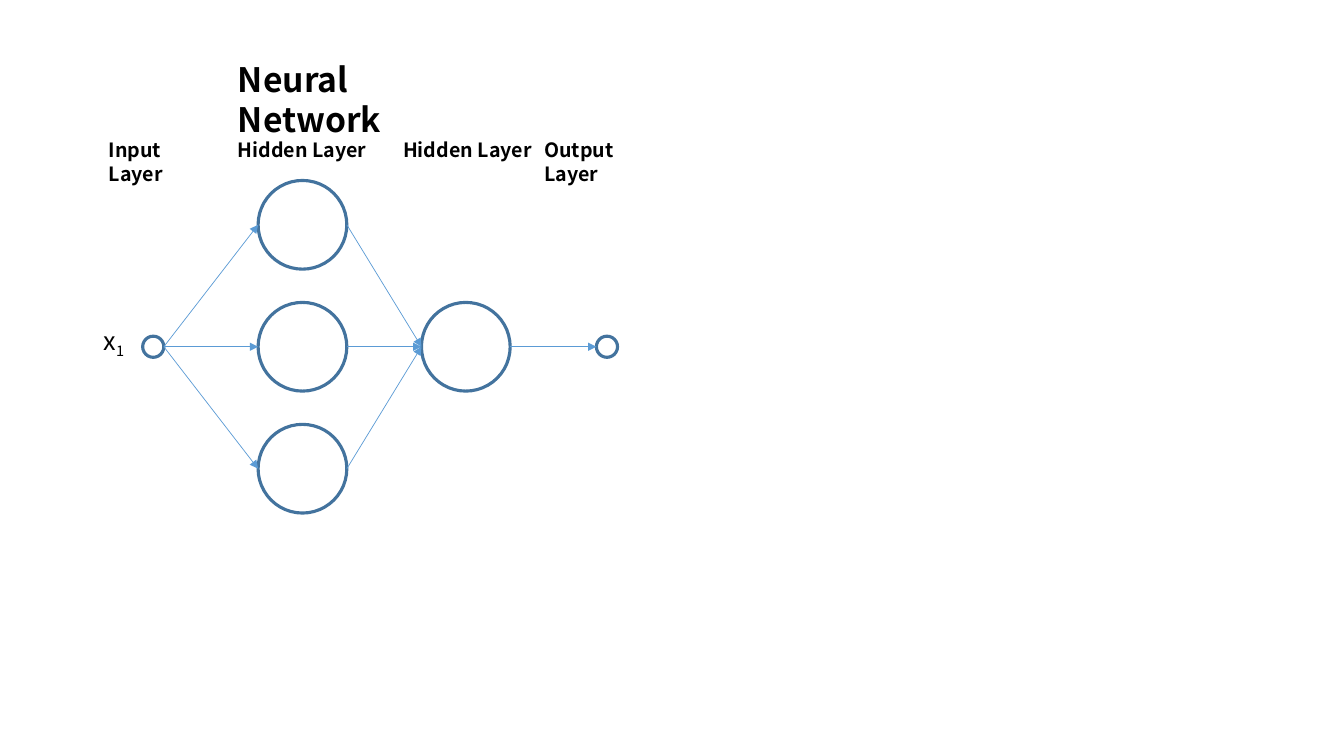
from lxml import etree
from pptx import Presentation
from pptx.dml.color import RGBColor
from pptx.enum.shapes import MSO_CONNECTOR, MSO_SHAPE
from pptx.enum.text import MSO_ANCHOR, MSO_AUTO_SIZE, PP_ALIGN
from pptx.oxml.ns import qn
from pptx.util import Inches, Pt

OVAL = MSO_SHAPE.OVAL
STRAIGHT = MSO_CONNECTOR.STRAIGHT
TOP, LEFT, NO_FIT = MSO_ANCHOR.TOP, PP_ALIGN.LEFT, MSO_AUTO_SIZE.NONE

BLACK = RGBColor(0x00, 0x00, 0x00)
NODE_BLUE = RGBColor(0x43, 0x73, 0x9E)
ARROW_BLUE = RGBColor(0x5B, 0x9B, 0xD5)
FONT = "Noto Sans CJK KR"
CELL = 0.1  # inches per grid cell

TERMINAL, NEURON = 2.1, 8.8  # node diameters
MIDDLE_ROW, ROW_PITCH = 34.4, 12.1
LABEL_ROW = 13.2


def cells(count):
    return Inches(count * CELL)


class NetworkSlide:
    """Draws on one title-only slide; all lengths are grid cells."""

    def __init__(self, deck):
        self.slide = deck.slides.add_slide(deck.slide_layouts[5])
        self.shapes = self.slide.shapes

    def style_text(self, frame, size, bold):
        frame.word_wrap = True
        frame.auto_size = NO_FIT
        frame.vertical_anchor = TOP
        paragraph = frame.paragraphs[0]
        paragraph.alignment = LEFT
        font = paragraph.font
        font.name, font.size, font.bold = FONT, Pt(size), bold
        font.color.rgb = BLACK

    def title(self, text, col, row, width, height):
        heading = self.shapes.title
        heading.left, heading.top = cells(col), cells(row)
        heading.width, heading.height = cells(width), cells(height)
        heading.text_frame.text = text
        self.style_text(heading.text_frame, 24, True)

    def label(self, text, col, row, width, height, size=14, bold=True, subscript=""):
        box = self.shapes.add_textbox(*map(cells, (col, row, width, height)))
        frame = box.text_frame
        frame.text = text
        if subscript:
            index = frame.paragraphs[0].add_run()
            index.text = subscript
            index.font._element.set("baseline", "-25000")
        self.style_text(frame, size, bold)

    def node(self, center, row, diameter):
        circle = self.shapes.add_shape(
            OVAL, cells(center - diameter / 2), cells(row - diameter / 2),
            cells(diameter), cells(diameter))
        circle.shadow.inherit = False
        circle.fill.background()
        circle.line.color.rgb = NODE_BLUE
        circle.line.width = Pt(2.25)

    def arrow(self, start, end):
        link = self.shapes.add_connector(STRAIGHT, *map(cells, (*start, *end)))
        link.line.color.rgb = ARROW_BLUE
        link.line.width = Pt(0.5)
        etree.SubElement(link.line._get_or_add_ln(), qn("a:tailEnd"), type="triangle")
        etree.SubElement(link._element.spPr, qn("a:effectLst"))


def main():
    deck = Presentation()
    deck.slide_width, deck.slide_height = Inches(13.33), Inches(7.5)
    network = NetworkSlide(deck)
    network.title("Neural Network", 22.6, 5.3, 26.5, 9)

    for text, col, width in (("Input Layer", 9.8, 12.5), ("Hidden Layer", 22.6, 15.2),
                             ("Hidden Layer", 39, 15.2), ("Output Layer", 53, 14)):
        network.label(text, col, LABEL_ROW, width, 5.8)
    network.label("x", 9.3, 31.8, 4.5, 4, size=18, bold=False, subscript="1")

    hidden_rows = [MIDDLE_ROW + step * ROW_PITCH for step in (-1, 0, 1)]
    layers = [(15.2, TERMINAL, [MIDDLE_ROW]), (30, NEURON, hidden_rows),
              (46.2, NEURON, [MIDDLE_ROW]), (60.2, TERMINAL, [MIDDLE_ROW])]
    for center, diameter, rows in layers:
        for row in rows:
            network.node(center, row, diameter)

    for (center, diameter, rows), (next_center, next_diameter, next_rows) in zip(layers, layers[1:]):
        for row in rows:
            for next_row in next_rows:
                network.arrow((center + diameter / 2, row),
                              (next_center - next_diameter / 2, next_row))

    deck.save("out.pptx")


if __name__ == "__main__":
    main()
